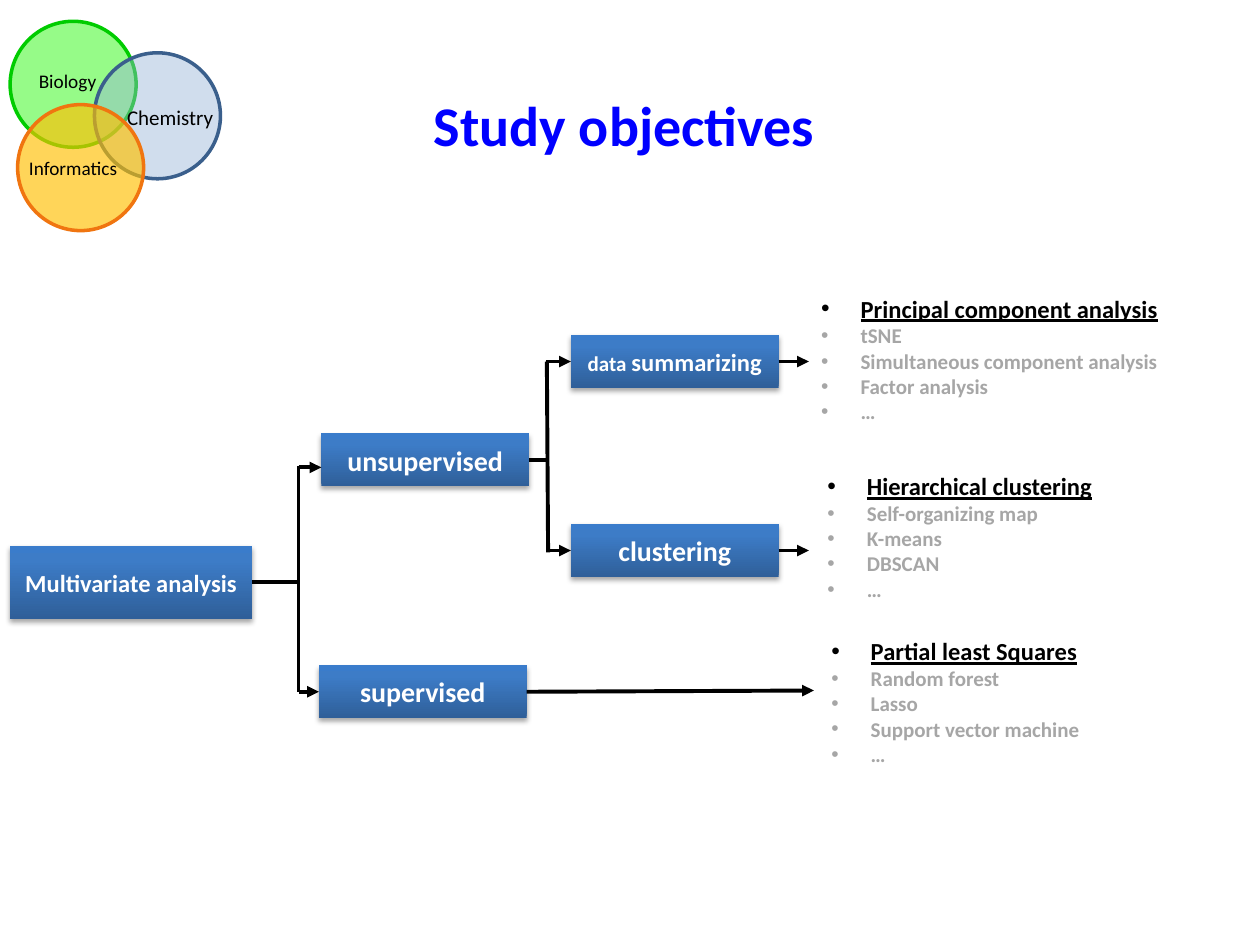
from copy import deepcopy

from lxml.etree import SubElement
from pptx import Presentation
from pptx.dml.color import RGBColor
from pptx.enum.shapes import MSO_CONNECTOR, MSO_SHAPE
from pptx.enum.text import MSO_ANCHOR, PP_ALIGN
from pptx.oxml.ns import qn
from pptx.util import Pt

LEFT, RIGHT = 1, 3  # connection sites of a rectangle
GRADIENT = [(0, "2F5F99"), (0.8, "3D7CC7"), (1, "3A7CCB")]
BOX_W, BOX_H = 118.8, 30.2


def color(hex_string):
    return RGBColor.from_string(hex_string)


def add_run(p, text, size, hex_color, bold=False, underline=False):
    r = p.add_run()
    r.text = text
    f = r.font
    f.name, f.size, f.bold, f.underline = "Calibri", Pt(size), bold, underline
    f.color.rgb = color(hex_color)


def add_text_box(s, x, y, w, h):
    tf = s.shapes.add_textbox(Pt(x), Pt(y), Pt(w), Pt(h)).text_frame
    tf.word_wrap = True
    return tf


def add_label(s, x, y, w, h, text, size, hex_color="000000", bold=False,
              align=PP_ALIGN.LEFT):
    p = add_text_box(s, x, y, w, h).paragraphs[0]
    p.alignment = align
    add_run(p, text, size, hex_color, bold)


def add_circle(s, x, y, fill, opacity, line):
    sp = s.shapes.add_shape(MSO_SHAPE.OVAL, Pt(x), Pt(y), Pt(72), Pt(72))
    sp.shadow.inherit = False
    sp.fill.solid()
    sp.fill.fore_color.rgb = color(fill)
    srgb = sp._element.spPr.find(qn("a:solidFill")).find(qn("a:srgbClr"))
    SubElement(srgb, qn("a:alpha"), val=str(opacity * 1000))
    sp.line.color.rgb = color(line)
    sp.line.width = Pt(2)


def add_gradient(sp):
    sp.fill.gradient()
    sp.fill.gradient_angle = 90
    gs_list = sp._element.spPr.find(qn("a:gradFill")).find(qn("a:gsLst"))
    gs_list.append(deepcopy(gs_list[0]))
    for stop, (position, hex_color) in zip(sp.fill.gradient_stops, GRADIENT):
        stop.position = position
        stop.color.rgb = color(hex_color)


def add_drop_shadow(sp):
    sp.shadow.inherit = False
    effects = sp._element.spPr.find(qn("a:effectLst"))
    shadow = SubElement(effects, qn("a:outerShdw"), blurRad=str(Pt(3.1)),
                        dist=str(Pt(1.8)), dir="5400000", rotWithShape="0")
    srgb = SubElement(shadow, qn("a:srgbClr"), val="000000")
    SubElement(srgb, qn("a:alpha"), val="35000")


def add_box(s, x, y, runs, w=BOX_W, h=BOX_H):
    sp = s.shapes.add_shape(MSO_SHAPE.RECTANGLE, Pt(x), Pt(y), Pt(w), Pt(h))
    add_gradient(sp)
    add_drop_shadow(sp)
    sp.line.fill.background()
    tf = sp.text_frame
    tf.word_wrap = True
    tf.vertical_anchor = MSO_ANCHOR.MIDDLE
    p = tf.paragraphs[0]
    p.alignment = PP_ALIGN.CENTER
    for text, size in runs:
        add_run(p, text, size, "FFFFFF", bold=True)
    return sp


def add_line(s, x1, y1, x2, y2, arrow=False, begin=None, end=None):
    """Draw a line; begin joins a box's right side, end a box's left side."""
    c = s.shapes.add_connector(MSO_CONNECTOR.STRAIGHT, Pt(x1), Pt(y1), Pt(x2), Pt(y2))
    if begin is not None:
        c.begin_connect(begin, RIGHT)
    if end is not None:
        c.end_connect(end, LEFT)
    c.line.color.rgb = color("000000")
    c.line.width = Pt(2.25)
    if arrow:
        SubElement(c.line._get_or_add_ln(), qn("a:tailEnd"), type="triangle")
    SubElement(c._element.spPr, qn("a:effectLst"))


def add_method_list(s, x, y, methods):
    """Bulleted list whose first method is the chosen one."""
    tf = add_text_box(s, x, y, 208.8, 82)
    for i, method in enumerate(methods + ["…"]):
        p = tf.add_paragraph() if i else tf.paragraphs[0]
        pPr = p._p.get_or_add_pPr()
        pPr.set("marL", str(Pt(22.5)))
        pPr.set("indent", str(Pt(-22.5)))
        SubElement(pPr, qn("a:buFont"), typeface="Arial")
        SubElement(pPr, qn("a:buChar"), char="•")
        if i:
            add_run(p, method, 12, "A6A6A6", bold=True)
        else:
            add_run(p, method, 14, "000000", bold=True, underline=True)


def add_disciplines(s):
    add_circle(s, 5.8, 12.2, "25F808", 48, "00CC00")
    add_label(s, 15.1, 36, 62.6, 20.6, "Biology", 11)
    add_circle(s, 54, 30.2, "95B3D7", 44, "3A5F8C")
    add_label(s, 65.5, 56.2, 66.2, 21.8, "Chemistry", 12)
    add_circle(s, 10.1, 59.8, "FFC000", 65, "F07510")
    add_label(s, 5.8, 85.7, 72, 20.6, "Informatics", 11, align=PP_ALIGN.CENTER)


def add_tree(s):
    root = add_box(s, 5.8, 311.8, [("Multivariate analysis", 14)], 138.2, 41.8)
    unsupervised = add_box(s, 183.6, 247.7, [("unsupervised", 16)])
    supervised = add_box(s, 182.2, 380.2, [("supervised", 16)])
    summarizing = add_box(s, 326.2, 191.5, [("data ", 12), ("summarizing", 14)])
    clustering = add_box(s, 326.2, 299.5, [("clustering", 16)])

    add_line(s, 144, 332.7, 170.6, 332.7, begin=root)
    add_line(s, 170.6, 266.4, 170.6, 395.3)
    add_line(s, 170.6, 267.1, 183.6, 267.1, arrow=True)
    add_line(s, 170.6, 395.3, 182.2, 395.3, arrow=True, end=supervised)

    add_line(s, 302.4, 262.8, 313.2, 262.8, begin=unsupervised)
    add_line(s, 312.5, 206.6, 313.2, 315.6)
    add_line(s, 312, 206.6, 326.2, 206.6, arrow=True, end=summarizing)
    add_line(s, 313.2, 314.6, 326.2, 314.6, arrow=True, end=clustering)

    add_line(s, 301, 395.3, 465.1, 394.6, arrow=True, begin=supervised)
    for box, y in [(summarizing, 206.6), (clustering, 314.6)]:
        add_line(s, 445, y, 462.2, y, arrow=True, begin=box)


def main():
    prs = Presentation()
    prs.slide_width, prs.slide_height = Pt(720), Pt(540)
    s = prs.slides.add_slide(prs.slide_layouts[6])
    add_disciplines(s)
    add_label(s, 149.8, 48.2, 414, 46, "Study objectives", 32, "0000FF", True,
              PP_ALIGN.CENTER)
    add_tree(s)
    add_method_list(s, 462.2, 164.2, [
        "Principal component analysis", "tSNE",
        "Simultaneous component analysis", "Factor analysis"])
    add_method_list(s, 465.8, 265.7, [
        "Hierarchical clustering", "Self-organizing map", "K-means", "DBSCAN"])
    add_method_list(s, 468, 360, [
        "Partial least Squares", "Random forest", "Lasso", "Support vector machine"])
    prs.save("out.pptx")


if __name__ == "__main__":
    main()
